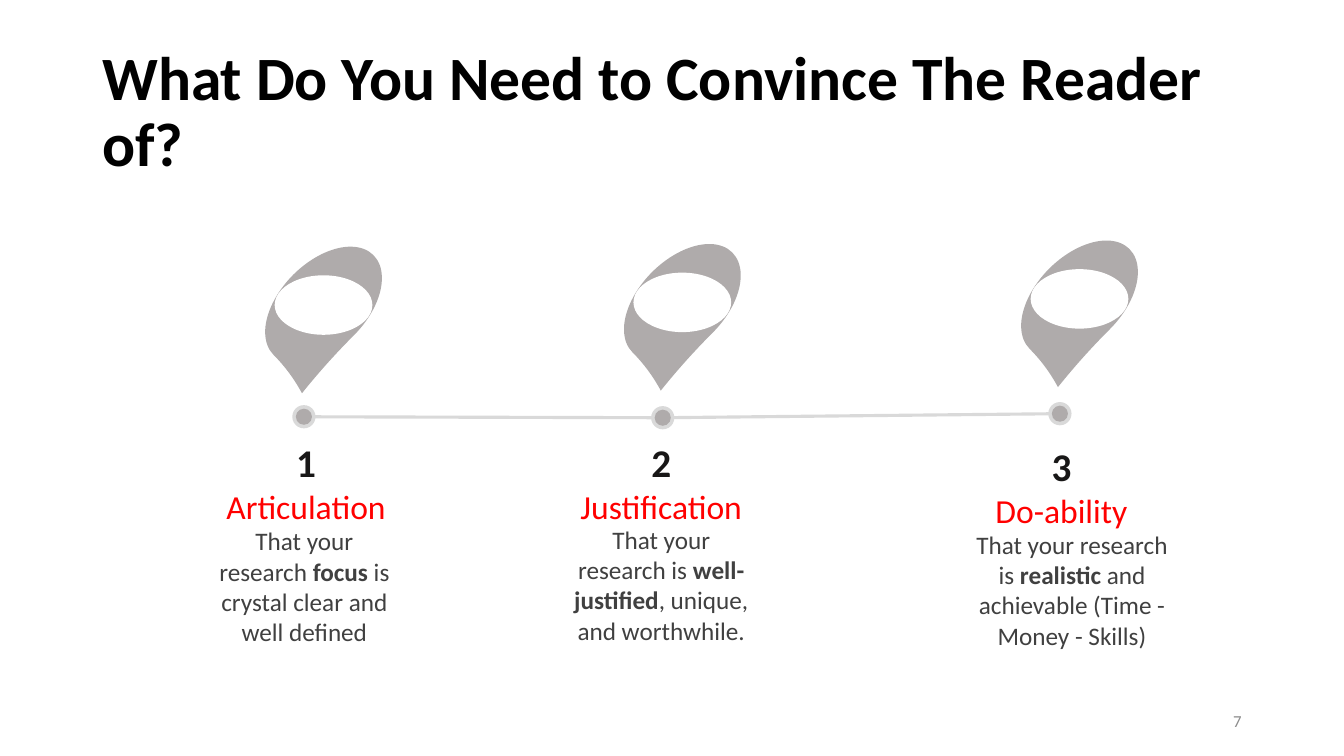
from dataclasses import dataclass
from pptx import Presentation
from pptx.util import Pt
from pptx.dml.color import RGBColor
from pptx.enum.shapes import MSO_CONNECTOR, MSO_SHAPE
from pptx.enum.text import MSO_ANCHOR, MSO_AUTO_SIZE, PP_ALIGN
from pptx.oxml.ns import qn
from lxml.etree import SubElement


@dataclass(frozen=True)
class Theme:
    font: str = "Calibri"
    black: str = "000000"
    ink: str = "181717"
    body: str = "404040"
    red: str = "FF0000"
    pin: str = "AFABAB"
    rail: str = "D9D9D9"
    white: str = "FFFFFF"
    page: str = "8C8C8C"
    title_size: int = 44
    num_size: int = 28
    head_size: int = 24
    body_size: int = 18
    page_size: int = 12


THEME = Theme()

# Dot centre, pin centre height, text centre, text top, body centre and width
STEPS = [
    dict(dot=(217.1, 297.7), pin=217.9, mid=218.6, top=309.6,
         body=(217.4, 372, 145.4), num="1", head="Articulation",
         parts=["That your research ", "focus",
                " is crystal clear and well defined"]),
    dict(dot=(473.4, 298.4), pin=216, mid=472.3, top=309.6,
         body=(472.3, 370.8, 145.4), num="2", head="Justification",
         parts=["That your research is ", "well-justified",
                ", unique, and worthwhile."]),
    dict(dot=(757.1, 295.5), pin=213.5, mid=758.2, top=312.5,
         body=(765.7, 374.4, 159.1), num="3", head="Do-ability",
         parts=["That your research is ", "realistic",
                " and achievable (Time - Money - Skills)"]),
]


def text(shapes, box, parts, size, color, bold=False, align=PP_ALIGN.CENTER,
         anchor=MSO_ANCHOR.TOP, grow=False, lead=None):
    """Add a text box; every second part is bold."""
    frame = shapes.add_textbox(*map(Pt, box)).text_frame
    frame.word_wrap = True
    frame.vertical_anchor = anchor
    frame.auto_size = (MSO_AUTO_SIZE.SHAPE_TO_FIT_TEXT if grow
                       else MSO_AUTO_SIZE.NONE)
    para = frame.paragraphs[0]
    para.alignment = align
    if lead:
        para.line_spacing = lead
    for i, part in enumerate(parts):
        run = para.add_run()
        run.text = part
        run.font.name = THEME.font
        run.font.size = Pt(size)
        run.font.bold = bold or i % 2 == 1
        run.font.color.rgb = RGBColor.from_string(color)


def solid(shapes, kind, mid, size, color):
    """Add a filled shape around its centre."""
    (x, y), (w, h) = mid, size
    shape = shapes.add_shape(kind, Pt(x - w / 2), Pt(y - h / 2), Pt(w), Pt(h))
    shape.shadow.inherit = False
    shape.fill.solid()
    shape.fill.fore_color.rgb = RGBColor.from_string(color)
    shape.line.fill.background()
    return shape


def rail(shapes, start, end):
    line = shapes.add_connector(MSO_CONNECTOR.STRAIGHT, *map(Pt, start + end))
    line.line.color.rgb = RGBColor.from_string(THEME.rail)
    line.line.width = Pt(2.25)
    SubElement(line._element.spPr, qn("a:effectLst"))


def marker(shapes, dot, pin):
    # Ringed dot
    ring = shapes.add_group_shape().shapes
    for side, color in ((16.6, THEME.rail), (11.5, THEME.pin)):
        solid(ring, MSO_SHAPE.OVAL, dot, (side, side), color)
    # Pin with its window
    group = shapes.add_group_shape().shapes
    mid = (dot[0] + 14, pin)
    drop = solid(group, MSO_SHAPE.TEAR, mid, (100.8, 61.2), THEME.pin)
    drop.adjustments[0] = 1.1
    drop.rotation = 135
    solid(group, MSO_SHAPE.OVAL, mid, (69.8, 42.5), THEME.white)


def step(shapes, dot, pin, mid, top, body, num, head, parts):
    marker(shapes, dot, pin)
    # Number, heading and body
    left = mid - 90
    text(shapes, (left, top, 180, 41), [num], THEME.num_size, THEME.ink,
         bold=True, grow=True)
    group = shapes.add_group_shape().shapes
    text(group, (left, top + 34, 180, 36), [head], THEME.head_size, THEME.red,
         grow=True)
    x, y, w = body
    text(group, (x - w / 2, y, w, 94.3), parts, THEME.body_size, THEME.body,
         grow=True)


def main():
    deck = Presentation()
    deck.slide_width, deck.slide_height = Pt(960), Pt(540)
    shapes = deck.slides.add_slide(deck.slide_layouts[6]).shapes

    # Title
    text(shapes, (66, 28.8, 828, 104.4),
         ["What Do You Need to Convince The Reader of?"],
         THEME.title_size, THEME.black, bold=True, align=PP_ALIGN.LEFT,
         anchor=MSO_ANCHOR.MIDDLE, lead=0.9)

    # Timeline
    for a, b in zip(STEPS, STEPS[1:]):
        rail(shapes, a["dot"], b["dot"])
    for item in STEPS:
        step(shapes, **item)

    # Page number
    text(shapes, (678, 500.5, 216, 28.8), ["7"], THEME.page_size, THEME.page,
         align=PP_ALIGN.RIGHT, anchor=MSO_ANCHOR.MIDDLE)
    deck.save("out.pptx")


if __name__ == "__main__":
    main()
